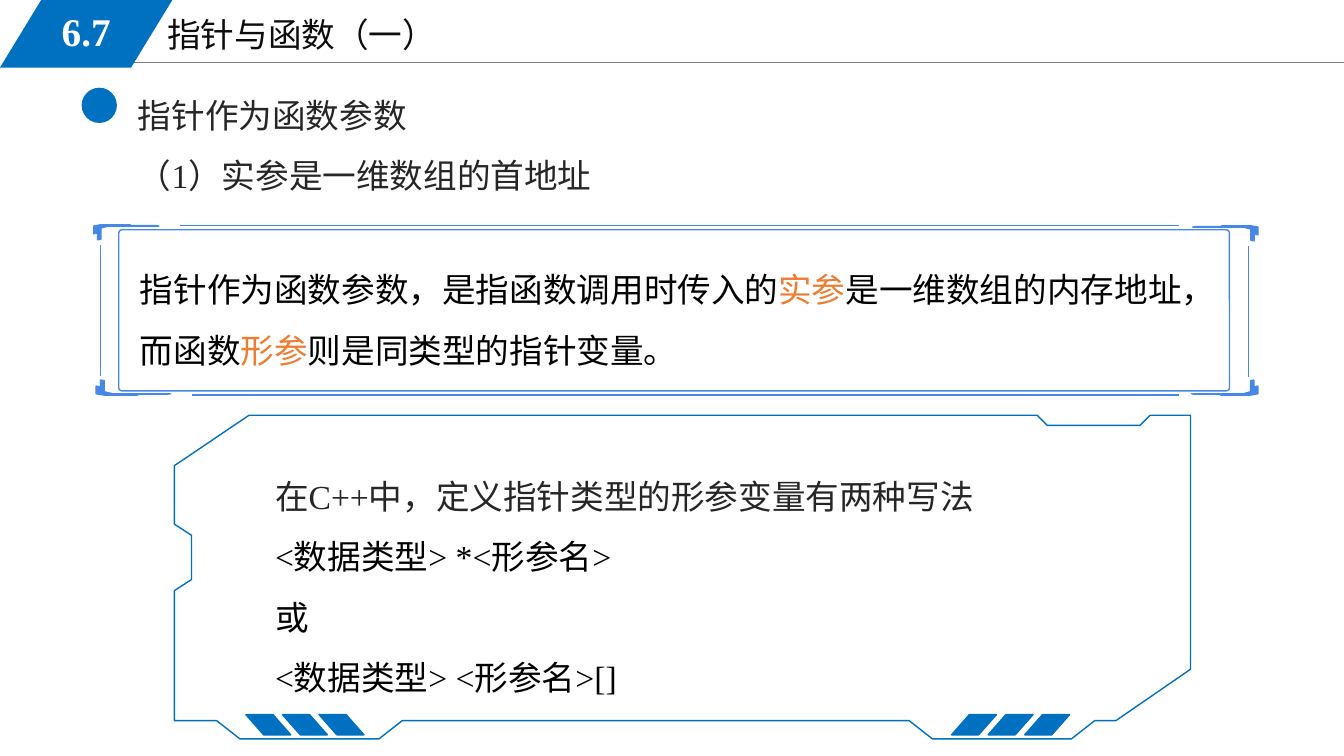
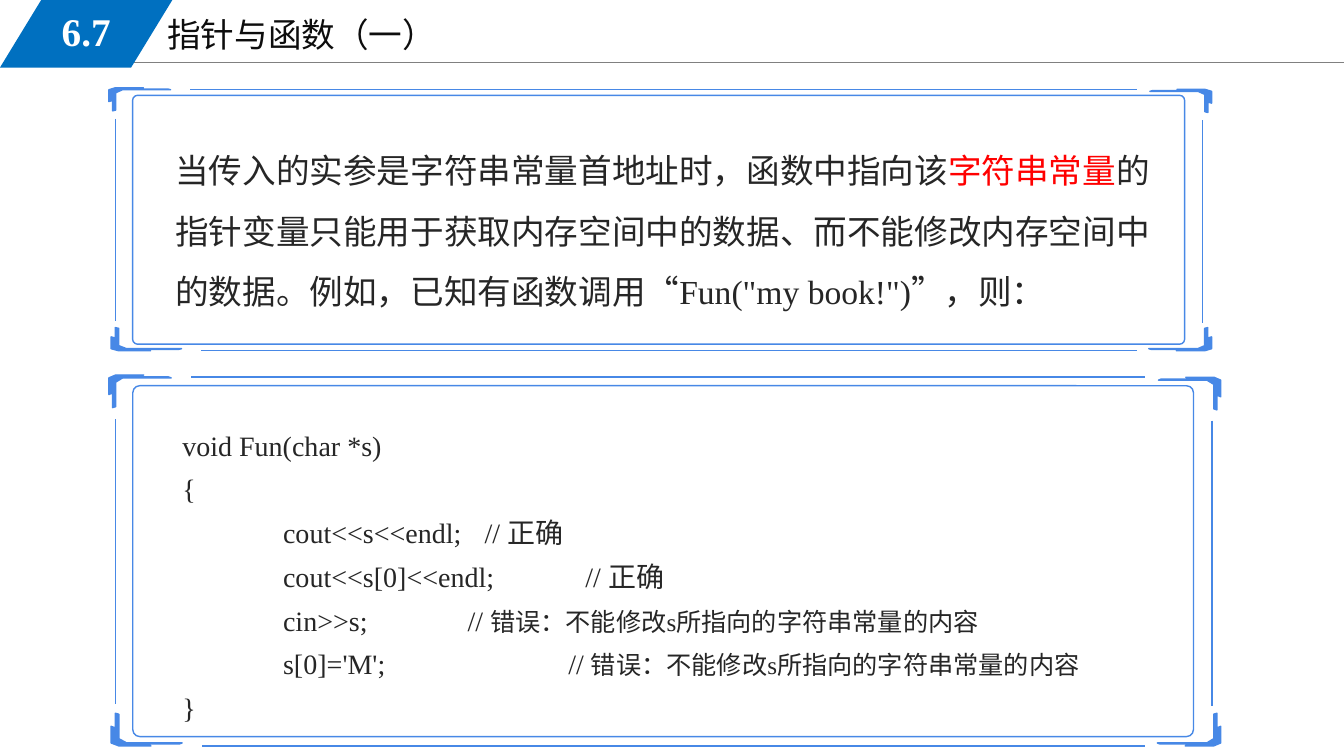
from lxml.etree import SubElement
from pptx import Presentation
from pptx.dml.color import RGBColor
from pptx.enum.shapes import MSO_CONNECTOR as Connector, MSO_SHAPE as Preset
from pptx.enum.text import MSO_ANCHOR as Anchor, MSO_AUTO_SIZE as AutoSize, PP_ALIGN as Align
from pptx.oxml.ns import qn
from pptx.util import Inches, Pt

COLUMNS, ROWS = 133.33, 75  # grid cells are a tenth of an inch
LATIN, CJK = "Times New Roman", "Noto Sans CJK SC"
BLUE, FRAME_BLUE, GREY = "0070C0", "4788E6", "808080"
WHITE, BLACK, INK, TITLE_INK = "FFFFFF", "000000", "262626", "0D0D0D"
ORANGE, RED = "ED7D31", "FF0000"

# Top-left bracket of a frame, in shares of its own width and height
BRACKET = [(0.11, 0), (0.56, 0), (0.5, 0.06), (0.96, 0.06), (1, 0.09), (0.22, 0.09),
           (0.11, 0.22), (0.11, 0.97), (0.06, 1), (0.06, 0.55), (0, 0.6), (0, 0.09)]
PANEL = [(92.5, 73.3), (106.3, 73.3), (108.6, 71.5), (110.7, 71.5), (118.1, 66.4),
         (118.1, 41.2), (114.1, 41.2), (113.1, 42.2), (103.9, 42.2), (102.9, 41.2),
         (24.7, 41.2), (17.3, 46.2), (17.3, 52), (19, 53.1), (19, 57.5), (17.3, 58.6),
         (17.3, 71.5), (21.5, 71.5), (23.8, 73.3), (37.6, 73.3), (39.9, 71.5), (90.2, 71.5)]


def cells(count):
    return Inches(count / 10)


def rgb(color):
    return RGBColor.from_string(color)


def write(paragraph, text, size=24, color=INK, font=LATIN, bold=False):
    run = paragraph.add_run()
    run.text = text
    run.font.size, run.font.bold, run.font.name = Pt(size), bold, font
    run.font.color.rgb = rgb(color)
    SubElement(run.font._element, qn("a:ea"), typeface=CJK)


def set_tabs(paragraph, stops):
    """Set left tab stops, in cells from the text edge."""
    tabs = SubElement(paragraph._p.get_or_add_pPr(), qn("a:tabLst"))
    for stop in stops:
        SubElement(tabs, qn("a:tab"), pos=str(cells(stop)), algn="l")


class Deck:
    """Holds the shared style and the slide being drawn."""

    def __init__(self):
        self.presentation = Presentation()
        self.presentation.slide_width = cells(COLUMNS)
        self.presentation.slide_height = cells(ROWS)
        self.slide = None

    def add_slide(self, number, title):
        layout = self.presentation.slide_layouts[5]
        self.slide = self.presentation.slides.add_slide(layout)
        self.line((11.3, 6.2), (COLUMNS, 6.2), GREY, 0.75)
        heading = self.slide.shapes.title
        heading.left, heading.top = cells(15.6), cells(0.9)
        heading.width, heading.height = cells(56.7), cells(5.5)
        frame = heading.text_frame
        frame.auto_size, frame.vertical_anchor = AutoSize.NONE, Anchor.TOP
        frame.paragraphs[0].alignment = Align.LEFT
        write(frame.paragraphs[0], title, color=TITLE_INK)
        self.shape(Preset.PARALLELOGRAM, 0, 0, 17.1, 6.7, fill=BLUE, adjust=0.61)
        self.text((2.5, 0.2, 12.1, 5.8), [[(number, dict(size=28, color=WHITE, bold=True))]],
                  spacing=1, align=Align.CENTER, anchor=Anchor.MIDDLE)

    def paint(self, shape, fill, line):
        shape.shadow.inherit = False
        if fill:
            shape.fill.solid()
            shape.fill.fore_color.rgb = rgb(fill)
        else:
            shape.fill.background()
        if line:
            shape.line.color.rgb, shape.line.width = rgb(line), Pt(1)
        else:
            shape.line.fill.background()

    def shape(self, preset, left, top, width, height, fill=None, line=None,
              adjust=None, flip=False):
        shape = self.slide.shapes.add_shape(
            preset, cells(left), cells(top), cells(width), cells(height))
        if adjust is not None:
            shape.adjustments[0] = adjust
        if flip:
            shape._element.spPr.find(qn("a:xfrm")).set("flipH", "1")
        self.paint(shape, fill, line)

    def outline(self, points, fill=None, line=None):
        corners = [(cells(x), cells(y)) for x, y in points]
        builder = self.slide.shapes.build_freeform(*corners[0])
        builder.add_line_segments(corners[1:], close=True)
        self.paint(builder.convert_to_shape(), fill, line)

    def line(self, start, end, color, width=1):
        x1, y1, x2, y2 = map(cells, (*start, *end))
        connector = self.slide.shapes.add_connector(Connector.STRAIGHT, x1, y1, x2, y2)
        connector.line.color.rgb, connector.line.width = rgb(color), Pt(width)
        SubElement(connector._element.spPr, qn("a:effectLst"))

    def text(self, box, paragraphs, spacing=1.5, align=Align.LEFT, anchor=Anchor.TOP,
             tabs=None, **style):
        """Each paragraph is a list of (text, format) runs; tabs maps its index to stops."""
        frame = self.slide.shapes.add_textbox(*map(cells, box)).text_frame
        frame.word_wrap, frame.vertical_anchor = True, anchor
        for index, runs in enumerate(paragraphs):
            paragraph = frame.add_paragraph() if index else frame.paragraphs[0]
            paragraph.alignment, paragraph.line_spacing = align, spacing
            if tabs and index in tabs:
                set_tabs(paragraph, tabs[index])
            for words, changes in runs:
                write(paragraph, words, **{**style, **changes})

    def tech_frame(self, left, top, width, height):
        """Rounded box with four side lines and four corner brackets."""
        def place(x, y):
            return left + x * width, top + y * height

        self.shape(Preset.ROUNDED_RECTANGLE, *place(0.0215, 0.029), 0.954 * width,
                   0.946 * height, line=FRAME_BLUE, adjust=0.02)
        # Outer corner, then signed width and height towards the middle
        for x, y, across, down in ((0, 0, 0.056, 0.088), (1, 0.006, -0.056, 0.088),
                                   (0.002, 1, 0.064, -0.088), (1, 1, -0.057, -0.088)):
            self.outline([place(x + u * across, y + v * down) for u, v in BRACKET],
                         FRAME_BLUE, FRAME_BLUE)
        for start, end in (((0.074, 0.006), (0.932, 0.006)), ((0.084, 1), (0.932, 1)),
                           ((0.006, 0.119), (0.006, 0.888)),
                           ((0.992, 0.123), (0.992, 0.893))):
            self.line(place(*start), place(*end), FRAME_BLUE)

    def heading_marker(self, left, top):
        self.shape(Preset.OVAL, left, top, 3.5, 3.5, fill=BLUE)

    def stripes(self, left, top, flip=False):
        for index in range(3):
            self.shape(Preset.PARALLELOGRAM, left + 3.63 * index, top, 4.45, 2,
                       fill=BLUE, line=BLUE, adjust=0.88, flip=flip)


def array_argument_slide(deck):
    deck.add_slide("6.7", "指针与函数（一）")
    deck.heading_marker(8.1, 8.7)
    deck.text((12.7, 6.9, 59.6, 13.2), [[("指针作为函数参数", {})],
                                        [("（1）实参是一维数组的首地址", {})]])
    deck.text((12.9, 24.2, 107.5, 13.1), [[
        ("指针作为函数参数，是指函数调用时传入的", {}), ("实参", dict(color=ORANGE)),
        ("是一维数组的内存地址，而函数", {}), ("形参", dict(color=ORANGE)),
        ("则是同类型的指针变量。", {})]], color=BLACK, font=CJK)
    deck.text((26.3, 44.7, 86.2, 30.3), [
        [("在C++中，定义指针类型的形参变量有两种写法", dict(color=INK))],
        [("<数据类型> *<形参名>", {})],
        [("或", {})],
        [("<数据类型> <形参名>[]", {})]], color=BLACK)
    deck.outline(PANEL, line=BLUE)
    deck.stripes(94.4, 70.9)
    deck.stripes(24.4, 70.9, flip=True)
    deck.tech_frame(9.3, 22.3, 115.5, 16.9)


def string_argument_slide(deck):
    deck.add_slide("6.7", "指针与函数（一）")
    deck.text((16.4, 12.4, 101.5, 19.2), [[
        ("当传入的实参是字符串常量首地址时，函数中指向该", {}),
        ("字符串常量", dict(color=RED)),
        ("的指针变量只能用于获取内存空间中的数据、而不能修改内存空间中的数据。"
         "例如，已知有函数调用“Fun(\"my book!\")", {}),
        ("”", dict(font=CJK)), ("，则：", {})]])
    deck.tech_frame(10.8, 8.7, 109.4, 26.1)
    warning = ("错误：不能修改s所指向的字符串常量的内容", dict(size=18))
    deck.text((17.1, 41, 102.1, 31.6), [
        [("void Fun(char *s)", {})],
        [("{", {})],
        [("\tcout<<s<<endl;\t// 正确", {})],
        [("\tcout<<s[0]<<endl;\t// 正确", {})],
        [("\tcin>>s;\t// ", {}), warning],
        [("\ts[0]='M';\t// ", {}), warning],
        [("}", {})]], spacing=1.3, size=20,
        tabs={2: (10, 30), 3: (10, 40), 4: (10, 28.3), 5: (10, 38.3)})
    deck.tech_frame(10.8, 37.2, 110.3, 36.8)


def main():
    deck = Deck()
    array_argument_slide(deck)
    string_argument_slide(deck)
    deck.presentation.save("out.pptx")


if __name__ == "__main__":
    main()
